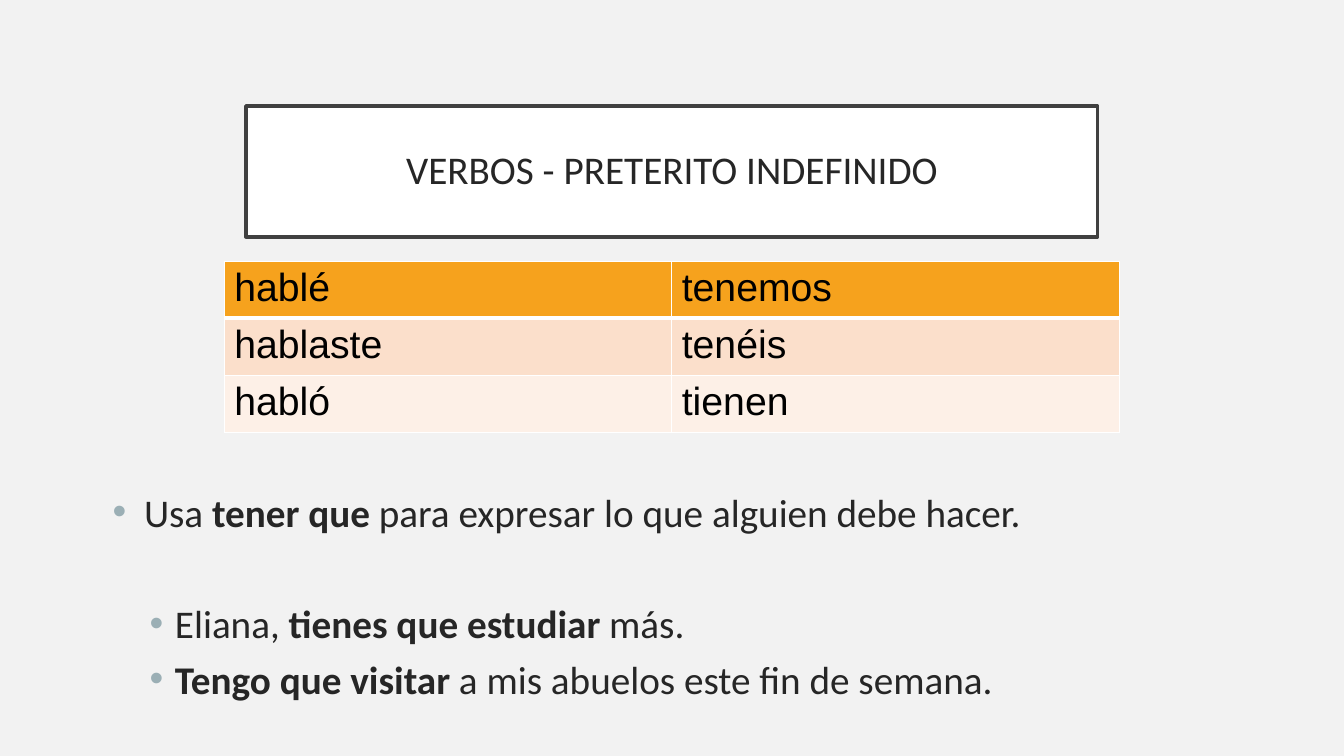
from lxml.etree import SubElement
from pptx import Presentation
from pptx.dml.color import RGBColor
from pptx.enum.shapes import MSO_SHAPE
from pptx.enum.text import MSO_ANCHOR, PP_ALIGN
from pptx.oxml import parse_xml
from pptx.oxml.ns import nsdecls, qn
from pptx.util import Cm, Pt

COLORS = {
    "background": "F2F2F2",
    "white": "FFFFFF",
    "frame": "404040",
    "text": "262626",
    "black": "000000",
    "bullet": "9BAFB5",
}
ROW_FILLS = ["F6A21D", "FBDFCB", "FDF0E7"]
VERBS = [("hablé", "tenemos"), ("hablaste", "tenéis"), ("habló", "tienen")]

# Each paragraph: left indent and hanging (cm), space before (pt), (text, bold) runs
NOTES = [
    (0.79, 0.79, 0, [("Usa ", False), ("tener que ", True),
                     ("para expresar lo que alguien debe hacer.", False)]),
    (1.57, 0.64, 46, [("Eliana, ", False), ("tienes que estudiar ", True),
                      ("más.", False)]),
    (1.57, 0.64, 6, [("Tengo que visitar ", True),
                     ("a mis abuelos este fin de semana.", False)]),
]


def rgb(name):
    return RGBColor.from_string(COLORS[name])


def add_text(p, text, font="Calibri", size=28, color="text", bold=False):
    r = p.add_run()
    r.text = text
    r.font.name = font
    r.font.size = Pt(size)
    r.font.bold = bold
    r.font.color.rgb = rgb(color)


def set_bullet(p, left, hanging):
    pPr = p._p.get_or_add_pPr()
    pPr.set("marL", str(Cm(left)))
    pPr.set("indent", str(-Cm(hanging)))
    color = SubElement(pPr, qn("a:buClr"))
    SubElement(color, qn("a:srgbClr"), val=COLORS["bullet"])
    SubElement(pPr, qn("a:buFont"), typeface="Arial")
    SubElement(pPr, qn("a:buChar"), char="•")


def set_borders(cell, bottom):
    tcPr = cell._tc.get_or_add_tcPr()
    widths = {"lnL": 1, "lnR": 1, "lnT": 1, "lnB": bottom}
    for i, (tag, width) in enumerate(widths.items()):
        tcPr.insert(i, parse_xml(
            f'<a:{tag} {nsdecls("a")} w="{Pt(width)}"><a:solidFill>'
            f'<a:srgbClr val="{COLORS["white"]}"/></a:solidFill></a:{tag}>'))


def add_title(s, left, top, width, height):
    sp = s.shapes.add_shape(MSO_SHAPE.RECTANGLE, Cm(left), Cm(top), Cm(width), Cm(height))
    sp.shadow.inherit = False
    sp.fill.solid()
    sp.fill.fore_color.rgb = rgb("white")
    sp.line.color.rgb = rgb("frame")
    sp.line.width = Pt(2.5)
    tf = sp.text_frame
    tf.word_wrap = True
    tf.vertical_anchor = MSO_ANCHOR.MIDDLE
    tf.margin_left = tf.margin_right = tf.margin_top = tf.margin_bottom = Cm(0.5)
    p = tf.paragraphs[0]
    p.alignment = PP_ALIGN.CENTER
    p.line_spacing = 0.9
    add_text(p, "VERBOS - PRETERITO INDEFINIDO")


def add_verb_table(s, left, top, width, height):
    table = s.shapes.add_table(len(VERBS), len(VERBS[0]), Cm(left), Cm(top),
                               Cm(width), Cm(height)).table
    for i, (verbs, fill) in enumerate(zip(VERBS, ROW_FILLS)):
        table.rows[i].height = Cm(height / len(VERBS))
        for j, verb in enumerate(verbs):
            cell = table.cell(i, j)
            cell.fill.solid()
            cell.fill.fore_color.rgb = RGBColor.from_string(fill)
            set_borders(cell, bottom=3 if i == 0 else 1)
            add_text(cell.text_frame.paragraphs[0], verb, font="Arial", color="black")


def add_notes(s, left, top, width, height):
    tf = s.shapes.add_textbox(Cm(left), Cm(top), Cm(width), Cm(height)).text_frame
    tf.word_wrap = True
    for i, (indent, hanging, before, runs) in enumerate(NOTES):
        p = tf.add_paragraph() if i else tf.paragraphs[0]
        p.space_before = Pt(before)
        set_bullet(p, indent, hanging)
        for text, bold in runs:
            add_text(p, text, bold=bold)


def main():
    prs = Presentation()
    prs.slide_width, prs.slide_height = Cm(33.87), Cm(19.05)
    s = prs.slides.add_slide(prs.slide_layouts[6])
    s.background.fill.solid()
    s.background.fill.fore_color.rgb = rgb("background")

    # Title frame, verb forms, usage notes
    add_title(s, 6.2, 2.67, 21.46, 3.3)
    add_notes(s, 2.59, 12.17, 28.55, 7.34)
    add_verb_table(s, 5.65, 6.58, 22.56, 4.06)
    prs.save("out.pptx")


if __name__ == "__main__":
    main()
